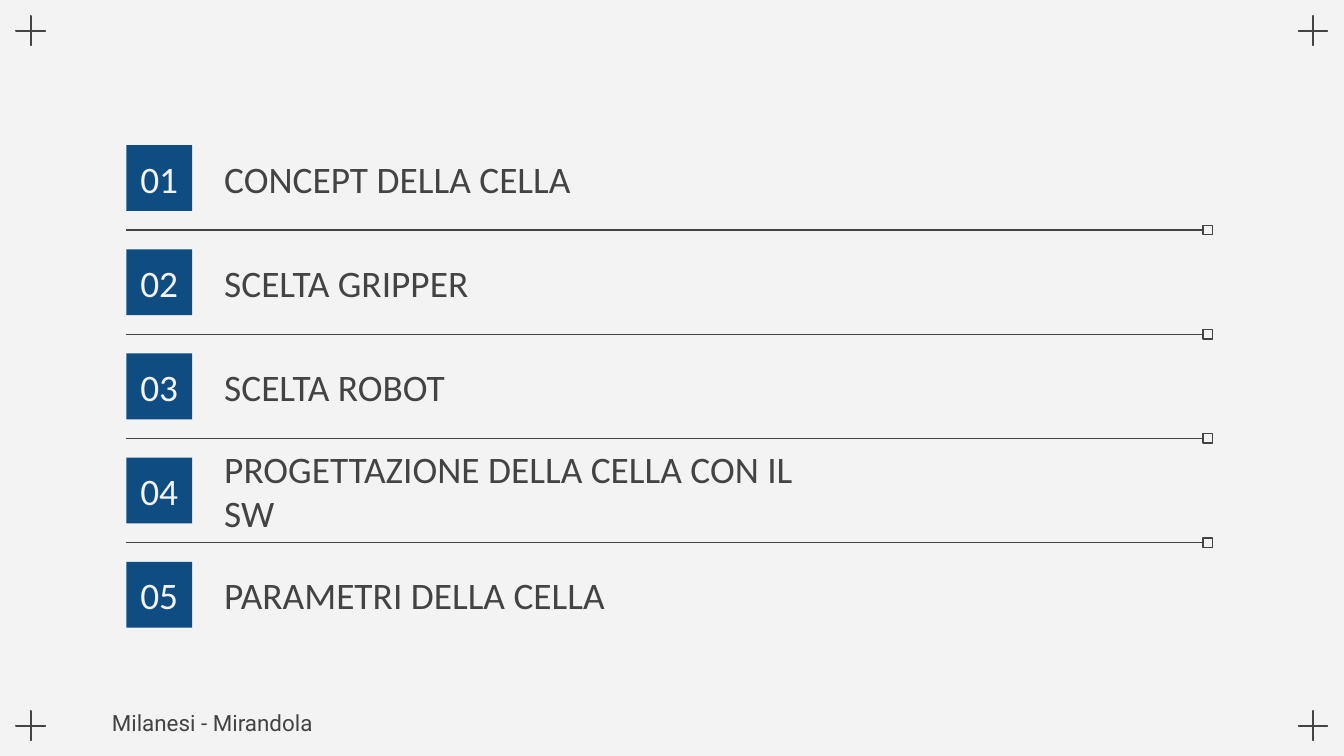
from lxml import etree
from pptx import Presentation
from pptx.dml.color import RGBColor
from pptx.enum import shapes, text
from pptx.oxml import ns
from pptx.util import Inches, Pt

COLORS = {"paper": "F3F3F3", "ink": "434343", "badge": "0F4C81"}
TOPICS = [
    ("CONCEPT DELLA CELLA", 3.2),
    ("SCELTA GRIPPER", 3.2),
    ("SCELTA ROBOT", 3.2),
    ("PROGETTAZIONE DELLA CELLA CON IL SW", 4.48),
    ("PARAMETRI DELLA CELLA", 3.2),
]
BADGE_SIZE = 0.49


def color(name):
    return RGBColor.from_string(COLORS[name])


def add_box(slide, preset, left, top, width, height, fill=None, line=None):
    box = slide.shapes.add_shape(
        preset, Inches(left), Inches(top), Inches(width), Inches(height))
    box.shadow.inherit = False
    if fill:
        box.fill.solid()
        box.fill.fore_color.rgb = color(fill)
    else:
        box.fill.background()
    if line:
        box.line.color.rgb = color(line)
        box.line.width = Pt(0.75)
    else:
        box.line.fill.background()
    return box


def write(box, words, size, font, ink, align=text.PP_ALIGN.LEFT,
          anchor=text.MSO_ANCHOR.MIDDLE, wrap=True):
    frame = box.text_frame
    frame.word_wrap = wrap
    frame.vertical_anchor = anchor
    frame.margin_left = frame.margin_right = Inches(0.1)
    frame.margin_top = frame.margin_bottom = Inches(0.1)
    paragraph = frame.paragraphs[0]
    paragraph.alignment = align
    run = paragraph.add_run()
    run.text = words
    run.font.size = Pt(size)
    run.font.name = font
    run.font.color.rgb = color(ink)


def add_label(slide, left, top, width, height, words, size, font, **layout):
    label = slide.shapes.add_textbox(
        Inches(left), Inches(top), Inches(width), Inches(height))
    write(label, words, size, font, "ink", **layout)


def add_corner_marks(slide, left, top, width, height):
    size = 0.3
    for y in (top, top + height - size):
        for x in (left, left + width - size):
            mark = add_box(slide, shapes.MSO_SHAPE.MATH_PLUS,
                           x, y, size, size, line="ink")
            mark.adjustments[0] = 0.01


def add_divider(slide, left, y, width):
    size = 0.07
    end_mark = add_box(slide, shapes.MSO_SHAPE.RECTANGLE, left + width - size,
                       y - size / 2, size, size, line="ink")
    rule = slide.shapes.add_connector(
        shapes.MSO_CONNECTOR.STRAIGHT, Inches(left + width - size), Inches(y),
        Inches(left), Inches(y))
    rule.begin_connect(end_mark, 1)
    rule.line.color.rgb = color("ink")
    rule.line.width = Pt(0.75)
    etree.SubElement(rule._element.spPr, ns.qn("a:effectLst"))


def add_topic(slide, left, top, number, title, title_width):
    badge = add_box(slide, shapes.MSO_SHAPE.RECTANGLE,
                    left, top, BADGE_SIZE, BADGE_SIZE, fill="badge")
    write(badge, f"{number:02d}", 20, "Calibri", "paper",
          align=text.PP_ALIGN.CENTER, wrap=False)
    add_label(slide, left + 0.63, top + 0.05, title_width, 0.39,
              title, 20, "Calibri")


def add_agenda(slide, left, top, width, height):
    pitch = (height - BADGE_SIZE) / (len(TOPICS) - 1)
    for index, (title, title_width) in enumerate(TOPICS):
        row_top = top + index * pitch
        add_topic(slide, left, row_top, index + 1, title, title_width)
        if index < len(TOPICS) - 1:
            add_divider(slide, left, row_top + (pitch + BADGE_SIZE) / 2, width)


def add_footer(slide, left, top, width, height):
    add_label(slide, left, top, width, height, "Milanesi - Mirandola", 12,
              "Roboto", align=text.PP_ALIGN.CENTER,
              anchor=text.MSO_ANCHOR.TOP)


def main():
    deck = Presentation()
    deck.slide_width = Inches(10)
    deck.slide_height = Inches(10 * 9 / 16)
    slide = deck.slides.add_slide(deck.slide_layouts[6])
    slide.background.fill.solid()
    slide.background.fill.fore_color.rgb = color("paper")
    add_corner_marks(slide, 0.08, 0.08, 9.84, 5.47)
    add_agenda(slide, 0.94, 1.08, 8.08, 3.59)
    add_footer(slide, 0.25, 5.18, 2.66, 0.37)
    deck.save("out.pptx")


if __name__ == "__main__":
    main()
